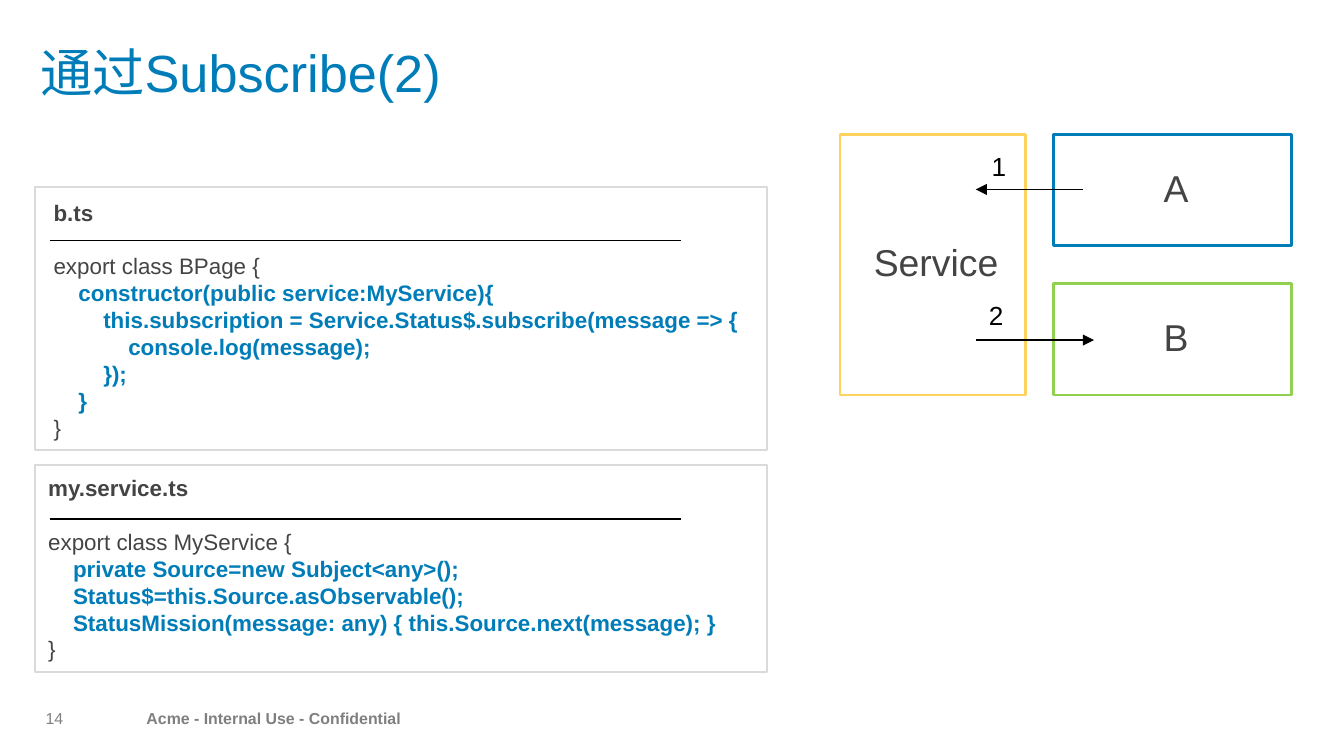
from lxml import etree
from pptx import Presentation
from pptx.dml.color import RGBColor
from pptx.enum.shapes import MSO_CONNECTOR as Connector, MSO_SHAPE as Shape
from pptx.enum.text import MSO_ANCHOR as Anchor, MSO_AUTO_SIZE as AutoSize, PP_ALIGN as Align
from pptx.oxml.ns import qn
from pptx.util import Inches, Pt

COLORS = {
    "blue": "007DB8", "green": "92D050", "yellow": "FFD25E", "frame": "DADADA",
    "text": "444444", "black": "000000", "footer": "7F7F7F", "number": "808080",
}
FONT = "Arial"
CODE_INDENT = Pt(13.34)
CODE_SPACING = Pt(14.4)

# Each code line: indent level, text
B_CODE = [
    (0, "export class BPage {"),
    (1, "constructor(public service:MyService){"),
    (2, "this.subscription = Service.Status$.subscribe(message => {"),
    (3, "console.log(message);"),
    (2, "});"),
    (1, "}"),
    (0, "}"),
]
SERVICE_CODE = [
    (0, "export class MyService {"),
    (1, "private Source=new Subject<any>();"),
    (1, "Status$=this.Source.asObservable();"),
    (1, "StatusMission(message: any) { this.Source.next(message); }"),
    (0, "}"),
]


def rgb(name):
    return RGBColor.from_string(COLORS[name])


def write(paragraph, text, size=12, color="text", bold=False, align=Align.LEFT,
          spacing=None, before=0, after=0, level=0):
    """Put formatted text into a paragraph."""
    paragraph.alignment = align
    paragraph.line_spacing = spacing
    paragraph.space_before, paragraph.space_after = Pt(before), Pt(after)
    if level:
        paragraph._p.get_or_add_pPr().set("marL", str(level * CODE_INDENT))
    run = paragraph.add_run()
    run.text = text
    run.font.name, run.font.size, run.font.bold = FONT, Pt(size), bold
    run.font.color.rgb = rgb(color)


def set_frame(frame, margins, wrap=True, anchor=Anchor.TOP):
    """Set margins (left, top, right, bottom), wrapping and anchor."""
    (frame.margin_left, frame.margin_top,
     frame.margin_right, frame.margin_bottom) = map(Inches, margins)
    frame.auto_size = AutoSize.NONE
    frame.word_wrap = wrap
    frame.vertical_anchor = anchor


def add_text_box(slide, box, margins=(0.1, 0.05, 0.1, 0.05), wrap=False, anchor=Anchor.TOP):
    frame = slide.shapes.add_textbox(*map(Inches, box)).text_frame
    set_frame(frame, margins, wrap, anchor)
    return frame


def add_outline(slide, box, color, width, label=None):
    """Draw an unfilled rectangle, with a centred label if given."""
    shape = slide.shapes.add_shape(Shape.RECTANGLE, *map(Inches, box))
    shape.shadow.inherit = False
    shape.fill.background()
    shape.line.color.rgb = rgb(color)
    shape.line.width = Pt(width)
    if label:
        set_frame(shape.text_frame, (0.2, 0.15, 0.15, 0.15), anchor=Anchor.MIDDLE)
        write(shape.text_frame.paragraphs[0], label, size=20,
              align=Align.CENTER, spacing=0.9, before=6)


def add_line(slide, start_x, end_x, y, arrow=False):
    """Draw a horizontal black line, with an arrowhead at its end if asked."""
    line = slide.shapes.add_connector(
        Connector.STRAIGHT, Inches(start_x), Inches(y), Inches(end_x), Inches(y))
    line.line.color.rgb = rgb("black")
    line.line.width = Pt(1)
    if arrow:
        etree.SubElement(line.line._get_or_add_ln(), qn("a:tailEnd"), type="triangle")
    etree.SubElement(line._element.spPr, qn("a:effectLst"))


def add_code_panel(slide, frame_box, text_box, file_name, code, rule_y):
    """Draw a framed listing: file name, rule, then code with blue inner lines."""
    add_outline(slide, frame_box, "frame", 1)
    frame = add_text_box(slide, text_box, wrap=True)
    write(frame.paragraphs[0], file_name, bold=True, spacing=CODE_SPACING, after=14.4)
    for level, text in code:
        write(frame.add_paragraph(), text, color="blue" if level else "text",
              bold=level > 0, spacing=CODE_SPACING, level=level)
    add_line(slide, 0.37, 5.07, rule_y)


def add_title(slide, text):
    title = slide.shapes.title
    title.left, title.top, title.width, title.height = map(Inches, (0.3, 0.3, 8.7, 0.7))
    set_frame(title.text_frame, (0, 0.05, 0, 0.05))
    write(title.text_frame.paragraphs[0], text, size=28, color="blue", spacing=0.9)


def add_footer(slide):
    no_margins = (0, 0, 0, 0)
    note = add_text_box(slide, (1.09, 5.29, 1.8, 0.13), no_margins, anchor=Anchor.MIDDLE)
    write(note.paragraphs[0], "Acme - Internal Use - Confidential", size=8.5,
          color="footer", bold=True, spacing=0.9, before=1, after=1)
    number = add_text_box(slide, (0.32, 5.29, 0.15, 0.13), no_margins, anchor=Anchor.MIDDLE)
    write(number.paragraphs[0], "14", size=8.5, color="number",
          align=Align.RIGHT, spacing=0.9)


def add_diagram(slide):
    # Components
    add_outline(slide, (7.84, 1, 1.77, 0.83), "blue", 1.5, "A")
    add_outline(slide, (7.84, 2.11, 1.77, 0.83), "green", 1.5, "B")
    add_outline(slide, (6.25, 1, 1.38, 1.94), "yellow", 1.5, "Service")
    # Numbered message steps
    add_line(slide, 8.06, 7.26, 1.41, arrow=True)
    add_line(slide, 7.26, 8.14, 2.53, arrow=True)
    for step, left, top in (("1", 7.28, 1.07), ("2", 7.26, 2.18)):
        frame = add_text_box(slide, (left, top, 0.31, 0.34))
        write(frame.paragraphs[0], step, size=14, color="black")


def main():
    presentation = Presentation()
    # Widescreen, 16:9
    presentation.slide_width = Inches(10)
    presentation.slide_height = Inches(10 * 9 / 16)
    slide = presentation.slides.add_slide(presentation.slide_layouts[5])

    add_footer(slide)
    add_title(slide, "通过Subscribe(2)")
    add_diagram(slide)
    # Code listings
    add_code_panel(slide, (0.26, 3.46, 5.45, 1.54), (0.26, 3.48, 5.45, 1.51),
                   "my.service.ts", SERVICE_CODE, 3.86)
    add_code_panel(slide, (0.26, 1.39, 5.45, 1.96), (0.3, 1.43, 5.49, 1.92),
                   "b.ts", B_CODE, 1.79)

    presentation.save("out.pptx")


if __name__ == "__main__":
    main()
